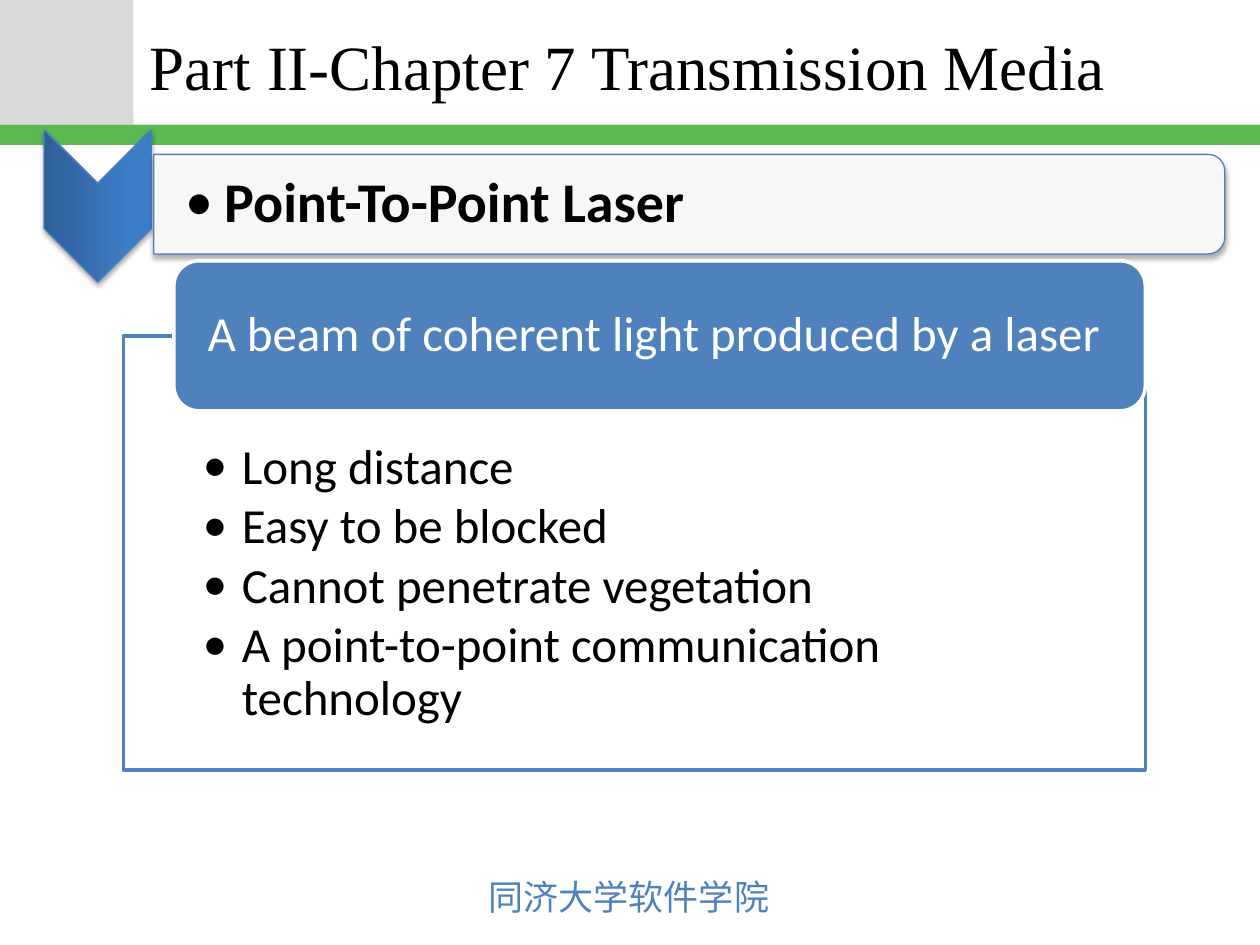
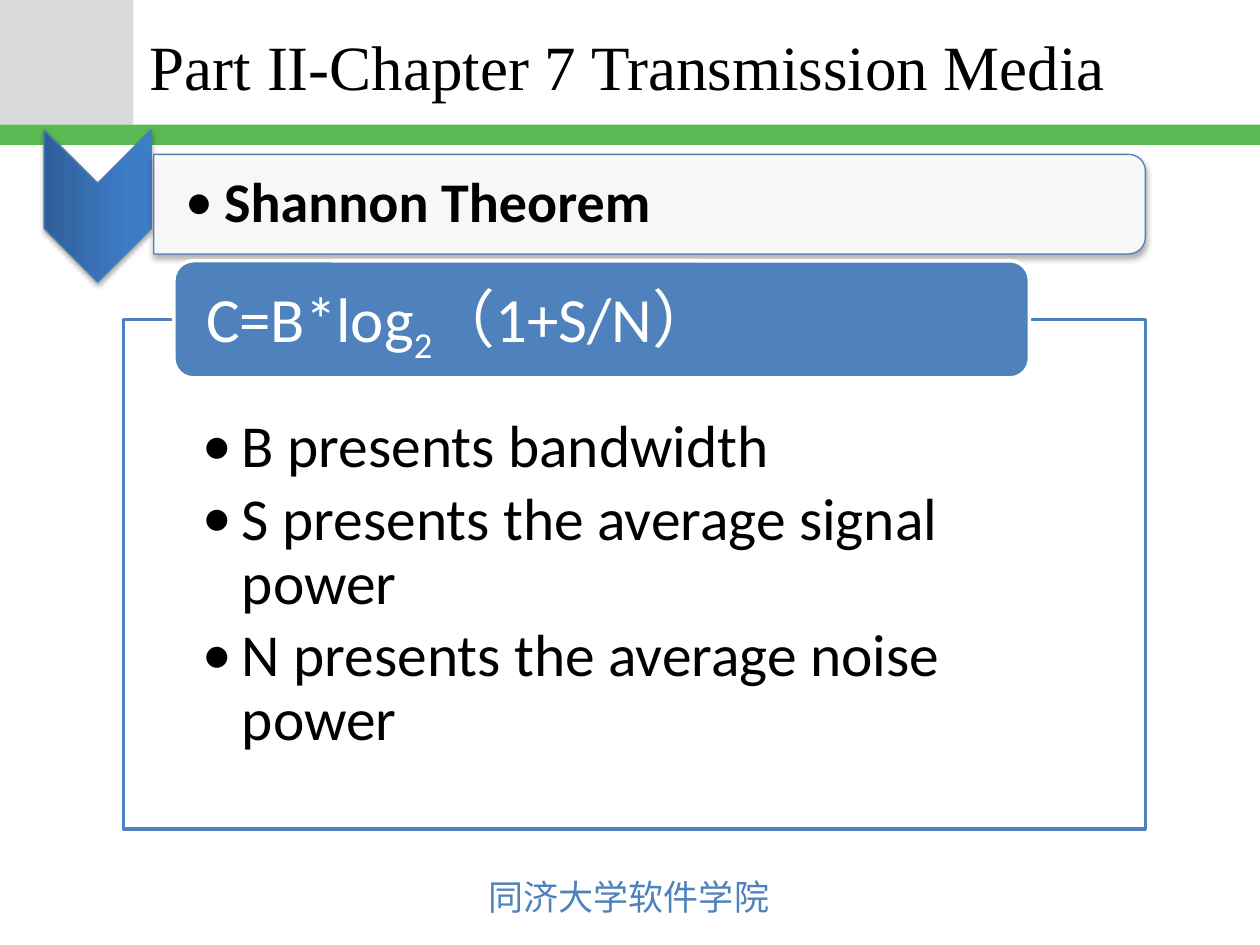
from lxml import etree
from pptx import Presentation
from pptx.dml.color import RGBColor
from pptx.enum.shapes import MSO_SHAPE
from pptx.enum.text import MSO_ANCHOR, MSO_AUTO_SIZE, PP_ALIGN
from pptx.oxml.ns import qn
from pptx.util import Inches, Pt

RECT, CHEVRON = MSO_SHAPE.RECTANGLE, MSO_SHAPE.CHEVRON
ROUNDED, ROUND_TOP = MSO_SHAPE.ROUNDED_RECTANGLE, MSO_SHAPE.ROUND_2_SAME_RECTANGLE
TOP, MIDDLE, LEFT = MSO_ANCHOR.TOP, MSO_ANCHOR.MIDDLE, PP_ALIGN.LEFT
FIXED, GROW = MSO_AUTO_SIZE.NONE, MSO_AUTO_SIZE.SHAPE_TO_FIT_TEXT

COLORS = {"corner": "D9D9D9", "band": "5AB953", "accent": "4F81BD", "edge": "4B7EBC",
          "dark": "2F5F99", "bright": "3D7CC7", "white": "FFFFFF", "black": "000000"}
FONTS = {
    "title": {"name": "Times New Roman", "size": Pt(36), "bold": False},
    "footer": {"name": "Noto Sans CJK JP", "size": Pt(20)},
    "heading": {"name": "Calibri", "size": Pt(32), "bold": True},
    "text": {"name": "Calibri", "bold": False},
}
COLUMNS = 100
CHAPTER = "Part II-Chapter 7 Transmission Media"
SCHOOL = "同济大学软件学院"
TOPICS = [
    {"heading": "Point-To-Point Laser", "heading_width": 85,
     "key": [("A beam of coherent light produced by a laser", 0)],
     "key_size": 28, "key_box": (77.1, 11.9), "bottom": 61.1,
     "points": ["Long distance", "Easy to be blocked", "Cannot penetrate vegetation",
                "A point-to-point communication technology"],
     "point_size": 28, "point_inset": 8.4},
    {"heading": "Shannon Theorem", "heading_width": 78.7,
     "key": [("C=B*log", 0), ("2", -25), ("（1+S/N）", 0)],
     "key_size": 36, "key_box": (67.9, 9.3), "bottom": 65.8,
     "points": ["B presents bandwidth", "S presents the average signal power",
                "N presents the average noise power"],
     "point_size": 34, "point_inset": 7.7},
]


def rgb(name):
    """Return the named colour of the palette."""
    return RGBColor.from_string(COLORS[name])


def set_values(target, values):
    """Set every attribute given in a dict of values."""
    for name, value in values.items():
        setattr(target, name, value)


class Deck:
    """Hold the deck's style, its grid of square cells and the current slide."""

    def __init__(self):
        """Start an empty deck of 10 by 7.5 inches."""
        self.show = Presentation()
        set_values(self.show, {"slide_width": Inches(10), "slide_height": Inches(7.5)})
        self.slide = None

    def cells(self, *counts):
        """Turn counts of grid cells into lengths."""
        return [round(self.show.slide_width * count / COLUMNS) for count in counts]

    def place(self, shape, *box):
        """Move a placeholder to a box of the grid."""
        set_values(shape, dict(zip(("left", "top", "width", "height"), self.cells(*box))))

    def paint(self, shape, fill, edge=None, weight=0.75, alpha=None):
        """Give a shape its fill and outline, without a shadow."""
        shape.shadow.inherit = False
        shape.fill.solid()
        shape.fill.fore_color.rgb = rgb(fill)
        if alpha:
            solid = next(shape.element.iter(qn("a:srgbClr")))
            etree.SubElement(solid, qn("a:alpha"), val=str(alpha * 1000))
        if edge:
            shape.line.color.rgb = rgb(edge)
            shape.line.width = Pt(weight)
        else:
            shape.line.fill.background()

    def shape(self, kind, box, fill, **style):
        """Add a painted preset shape."""
        shape = self.slide.shapes.add_shape(kind, *self.cells(*box))
        self.paint(shape, fill, **style)
        return shape

    def cast_shadow(self, shape):
        """Add a soft shadow below a shape."""
        effects = next(shape.element.iter(qn("a:effectLst")))
        shadow = etree.SubElement(effects, qn("a:outerShdw"), blurRad=str(Pt(3.1)),
                                  dist=str(Pt(1.8)), dir="5400000", rotWithShape="0")
        color = etree.SubElement(shadow, qn("a:srgbClr"), val=COLORS["black"])
        etree.SubElement(color, qn("a:alpha"), val="35000")

    def frame(self, shape, insets=(1, 0.5, 1, 0.5), **values):
        """Set the insets and other frame values of a shape's text."""
        sides = ("margin_left", "margin_top", "margin_right", "margin_bottom")
        defaults = {"word_wrap": True, "auto_size": FIXED, "vertical_anchor": MIDDLE}
        set_values(shape.text_frame,
                   {**dict(zip(sides, self.cells(*insets))), **defaults, **values})

    def add_lines(self, shape, lines, font, color, size=None, bullet=False, spacing=1.0):
        """Add lines, each a list of pieces with a baseline shift in percent."""
        text = shape.text_frame
        for index, pieces in enumerate(lines):
            paragraph = text.add_paragraph() if index else text.paragraphs[0]
            if bullet:
                self.bullet(paragraph)
            gap = Pt(0.135 * size) if index and bullet else Pt(0)
            set_values(paragraph, {"alignment": LEFT, "line_spacing": spacing,
                                   "space_before": gap, "space_after": Pt(0)})
            for words, shift in pieces:
                run = paragraph.add_run()
                run.text = words
                set_values(run.font, FONTS[font])
                if size:
                    run.font.size = Pt(size)
                run.font.color.rgb = rgb(color)
                properties = run._r.get_or_add_rPr()
                etree.SubElement(properties, qn("a:ea"), typeface=FONTS[font]["name"])
                if shift:
                    properties.set("baseline", str(shift * 1000))

    def bullet(self, paragraph):
        """Give a paragraph a hanging round bullet."""
        properties = paragraph._p.get_or_add_pPr()
        hang = self.cells(3.1)[0]
        properties.set("marL", str(hang))
        properties.set("indent", str(-hang))
        etree.SubElement(properties, qn("a:buFont"), typeface="Calibri")
        etree.SubElement(properties, qn("a:buChar"), char="•")

    def text_box(self, box):
        """Add an empty text box."""
        return self.slide.shapes.add_textbox(*self.cells(*box))

    def new_slide(self):
        """Start a slide with the shared bands, footer and title."""
        self.slide = self.show.slides.add_slide(self.show.slide_layouts[1])
        self.shape(RECT, (0, 0, 10.6, 9.9), "corner")
        self.shape(RECT, (0, 9.9, COLUMNS, 1.6), "band")
        school = self.text_box((37.8, 69, 24.5, 4.4))
        self.frame(school, word_wrap=False, auto_size=GROW, vertical_anchor=TOP)
        self.add_lines(school, [[(SCHOOL, 0)]], "footer", "accent")
        title = self.slide.shapes.title
        self.place(title, 10.9, 0.3, 82.4, 9.8)
        self.frame(title)
        self.add_lines(title, [[(CHAPTER, 0)]], "title", "black")

    def heading(self, words, width):
        """Add the chevron and the heading tab beside it."""
        chevron = self.shape(CHEVRON, (1.7, 12.1, 12.1, 8.5), "bright", edge="edge")
        chevron.rotation = 90
        chevron.fill.gradient()
        chevron.fill.gradient_angle = 90
        for stop, color, position in zip(chevron.fill.gradient_stops, ("dark", "bright"), (0, 0.8)):
            stop.color.rgb = rgb(color)
            stop.position = position
        left, middle, height = 12.2, 16.2, 7.9
        tab = self.shape(ROUND_TOP, (left + (width - height) / 2, middle - width / 2,
                                     height, width), "white", edge="edge", alpha=90)
        tab.rotation = 90
        for part in (chevron, tab):
            self.cast_shadow(part)
        label = self.text_box((left, 12.7, width - 0.3, 7.1))
        self.frame(label, (2.5, 0.2, 0.2, 0.2))
        self.add_lines(label, [[(words, 0)]], "heading", "black", 32, bullet=True, spacing=0.9)

    def key_and_points(self, topic):
        """Add the framed list with its key statement on the upper edge."""
        key_top = 20.7
        width, height = topic["key_box"]
        frame_top = key_top + height / 2
        points = self.slide.placeholders[1]
        self.place(points, 9.8, frame_top, 81.1, topic["bottom"] - frame_top)
        self.paint(points, "white", edge="accent", weight=2, alpha=90)
        self.frame(points, (6.3, topic["point_inset"], 6.3, 2.2), vertical_anchor=TOP)
        self.add_lines(points, [[(point, 0)] for point in topic["points"]], "text", "black",
                       topic["point_size"], bullet=True, spacing=0.9)
        key = self.shape(ROUNDED, (13.8, key_top, width, height), "accent",
                         edge="white", weight=2)
        self.frame(key, (2.1, 0, 2.1, 0))
        self.add_lines(key, [topic["key"]], "text", "white", topic["key_size"], spacing=0.9)


def main():
    """Build one slide per topic and save the deck."""
    deck = Deck()
    for topic in TOPICS:
        deck.new_slide()
        deck.heading(topic["heading"], topic["heading_width"])
        deck.key_and_points(topic)
    deck.show.save("out.pptx")


if __name__ == "__main__":
    main()
